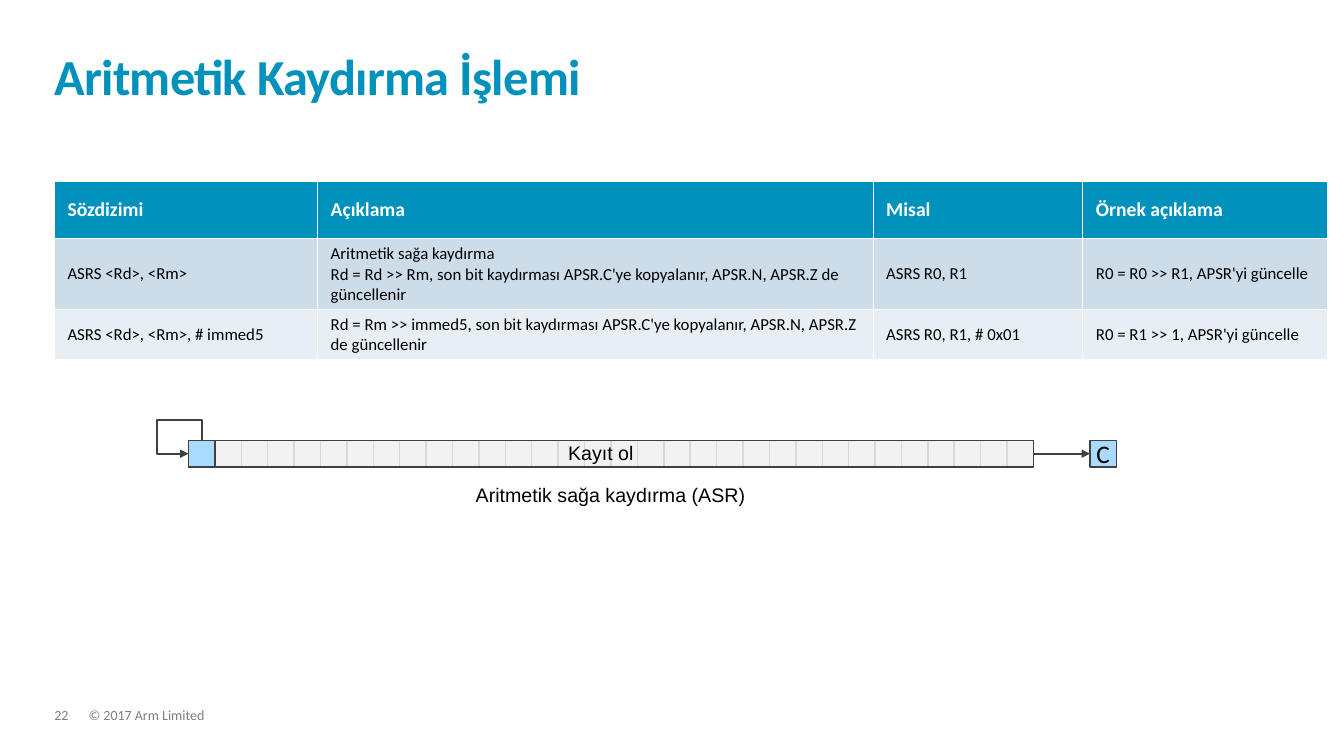
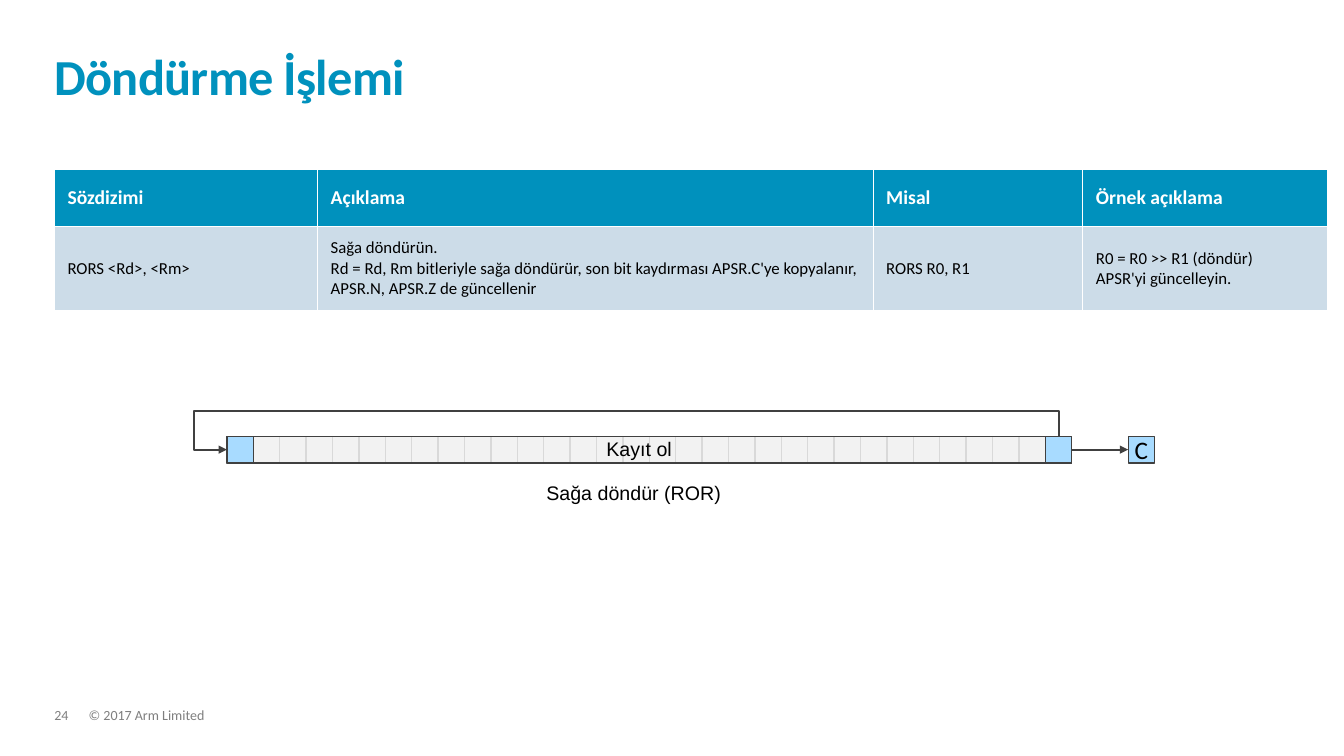
from lxml.etree import SubElement
from pptx import Presentation
from pptx.dml.color import RGBColor
from pptx.enum.shapes import MSO_CONNECTOR, MSO_SHAPE
from pptx.enum.text import MSO_ANCHOR, MSO_AUTO_SIZE, PP_ALIGN
from pptx.oxml.ns import qn
from pptx.util import Inches, Pt

color = RGBColor.from_string
TEAL, BLUE, WHITE, BLACK = "0091BD", "A8DBFF", "FFFFFF", "000000"
DARK, PALE, SILVER, GRAY = "404040", "F2F2F2", "D9D9D9", "7F7F7F"
ROW_FILLS = [TEAL, "CCDCE8", "E7EEF4"]

MARGIN = 0.54
COLUMNS = [2.61, 5.51, 2.08, 2.43]
HEADER = ["Sözdizimi", "Açıklama", "Misal", "Örnek açıklama"]
BITS = 32
REGISTER = 8.38
BIT = REGISTER / BITS
CARRY_GAP = 0.56

PAGES = [
    {
        "title": "Aritmetik Kaydırma İşlemi", "number": "22",
        "table_top": 1.8, "row_heights": [0.57, 0.7, 0.5],
        "rows": [
            ["ASRS <Rd>, <Rm>",
             "Aritmetik sağa kaydırma\nRd = Rd >> Rm, son bit kaydırması APSR.C'ye "
             "kopyalanır, APSR.N, APSR.Z de güncellenir",
             "ASRS R0, R1", "R0 = R0 >> R1, APSR'yi güncelle"],
            ["ASRS <Rd>, <Rm>, # immed5",
             "Rd = Rm >> immed5, son bit kaydırması APSR.C'ye kopyalanır, "
             "APSR.N, APSR.Z de güncellenir",
             "ASRS R0, R1, # 0x01", "R0 = R1 >> 1, APSR'yi güncelle"],
        ],
        "left": 1.87, "top": 4.37, "blue_bits": [0], "loop_from": 0,
        "loop_reach": 0.31, "loop_rise": 0.2,
        "caption": "Aritmetik sağa kaydırma (ASR)", "caption_at": (4.62, 4.74, 3.93),
    },
    {
        "title": "Döndürme İşlemi", "number": "24",
        "table_top": 1.68, "row_heights": [0.57, 0.83],
        "rows": [
            ["RORS <Rd>, <Rm>",
             "Sağa döndürün.\nRd = Rd, Rm bitleriyle sağa döndürür, son bit kaydırması "
             "APSR.C'ye kopyalanır, APSR.N, APSR.Z de güncellenir",
             "RORS R0, R1", "R0 = R0 >> R1 (döndür)\nAPSR'yi güncelleyin."],
        ],
        "left": 2.25, "top": 4.33, "blue_bits": [0, BITS - 1], "loop_from": BITS - 1,
        "loop_reach": 0.33, "loop_rise": 0.25,
        "caption": "Sağa döndür (ROR)", "caption_at": (5.32, 4.72, 3.15),
    },
]


def add_text(page, text, left, top, width, height, size, font, ink):
    box = page.shapes.add_textbox(*map(Inches, (left, top, width, height)))
    box.text_frame.word_wrap = True
    para = box.text_frame.paragraphs[0]
    para.text = text
    para.font.size, para.font.name = Pt(size), font
    para.font.color.rgb = color(ink)
    return box.text_frame


def add_box(page, left, top, width, fill, outline):
    """Add a rectangle one bit high; without a fill it is only a frame."""
    box = page.shapes.add_shape(MSO_SHAPE.RECTANGLE, *map(Inches, (left, top, width, BIT)))
    box.shadow.inherit = False
    if fill:
        box.fill.solid()
        box.fill.fore_color.rgb = color(fill)
    else:
        box.fill.background()
    box.line.color.rgb = color(outline)
    box.line.width = Pt(1)
    return box


deck = Presentation()
deck.slide_width, deck.slide_height = Inches(13.33), Inches(7.5)

layout = deck.slide_layouts[5]
heading = layout.placeholders[0]
heading.left, heading.top = Inches(MARGIN), Inches(0.32)
heading.width, heading.height = Inches(12.23), Inches(0.73)
frame = heading.text_frame
frame.margin_left = frame.margin_top = frame.margin_right = frame.margin_bottom = 0
frame.vertical_anchor = MSO_ANCHOR.BOTTOM
frame.auto_size = MSO_AUTO_SIZE.NONE

for content in PAGES:
    page = deck.slides.add_slide(layout)

    # Title
    para = page.shapes.title.text_frame.paragraphs[0]
    para.text = content["title"]
    para.alignment = PP_ALIGN.LEFT
    para.line_spacing = 0.85
    span = para.runs[0]
    span.font.name, span.font.size, span.font.bold = "Calibri", Pt(36), True
    span.font.color.rgb = color(TEAL)
    span._r.get_or_add_rPr().set("spc", "-50")

    # Footer
    for text, left, width in [("© 2017 Arm Limited", 0.88, 9.13),
                              (content["number"], MARGIN, 0.34)]:
        frame = add_text(page, text, left, 7.03, width, 0.15, 10, "Calibri", GRAY)
        frame.margin_left = frame.margin_top = frame.margin_right = frame.margin_bottom = 0
        frame.paragraphs[0].line_spacing = 0.9

    # Instruction table
    rows, heights = [HEADER] + content["rows"], content["row_heights"]
    table = page.shapes.add_table(
        len(rows), len(COLUMNS), Inches(MARGIN), Inches(content["table_top"]),
        Inches(sum(COLUMNS)), Inches(sum(heights))).table
    for column, width in zip(table.columns, COLUMNS):
        column.width = Inches(width)
    for row_index, (texts, height) in enumerate(zip(rows, heights)):
        table.rows[row_index].height = Inches(height)
        is_header = row_index == 0
        for cell, text in zip(table.rows[row_index].cells, texts):
            cell.text_frame.text = text
            cell.vertical_anchor = MSO_ANCHOR.MIDDLE
            cell.margin_left = cell.margin_right = Inches(0.13)
            cell.fill.solid()
            cell.fill.fore_color.rgb = color(ROW_FILLS[row_index])
            for para in cell.text_frame.paragraphs:
                font = para.runs[0].font
                font.name, font.bold = "Calibri", is_header
                font.size = Pt(14 if is_header else 12)
                font.color.rgb = color(WHITE if is_header else BLACK)

    # Register: plain bits, frame, then highlighted bits
    left, top = content["left"], content["top"]
    for bit in range(BITS):
        if bit not in content["blue_bits"]:
            add_box(page, left + bit * BIT, top, BIT, PALE, SILVER)
    register = add_box(page, left, top, REGISTER, None, DARK)
    for bit in content["blue_bits"]:
        add_box(page, left + bit * BIT, top, BIT, BLUE, DARK)

    # Carry flag
    carry = add_box(page, left + REGISTER + CARRY_GAP, top, BIT, BLUE, DARK)
    carry.text_frame.word_wrap = False
    carry.text_frame.vertical_anchor = MSO_ANCHOR.MIDDLE
    para = carry.text_frame.paragraphs[0]
    para.text = "C"
    para.alignment = PP_ALIGN.CENTER
    para.font.name, para.font.size = "Calibri", Pt(18)
    para.font.color.rgb = color(BLACK)

    # Arrows: back into the first bit, and out to the carry flag
    start = left + (content["loop_from"] + 0.5) * BIT
    turn, ceiling, middle = left - content["loop_reach"], top - content["loop_rise"], top + BIT / 2
    builder = page.shapes.build_freeform(Inches(start), Inches(top))
    corners = [(start, ceiling), (turn, ceiling), (turn, middle), (left, middle)]
    builder.add_line_segments([(Inches(x), Inches(y)) for x, y in corners], close=False)
    loop = builder.convert_to_shape()
    loop.fill.background()
    shift_out = page.shapes.add_connector(MSO_CONNECTOR.STRAIGHT, 0, 0, 0, 0)
    shift_out.begin_connect(register, 3)
    shift_out.end_connect(carry, 1)
    for arrow in (loop, shift_out):
        arrow.line.color.rgb = color(DARK)
        arrow.line.width = Pt(1.5)
        properties = arrow._element.spPr
        SubElement(properties.find(qn("a:ln")), qn("a:tailEnd"), type="triangle")
        SubElement(properties, qn("a:effectLst"))

    # Labels
    add_text(page, "Kayıt ol", left + 14 * BIT, top - 0.04, 1.37, 0.34, 14, "Arial", BLACK)
    add_text(page, content["caption"], *content["caption_at"], 0.34, 14, "Arial", BLACK)

deck.save("out.pptx")
